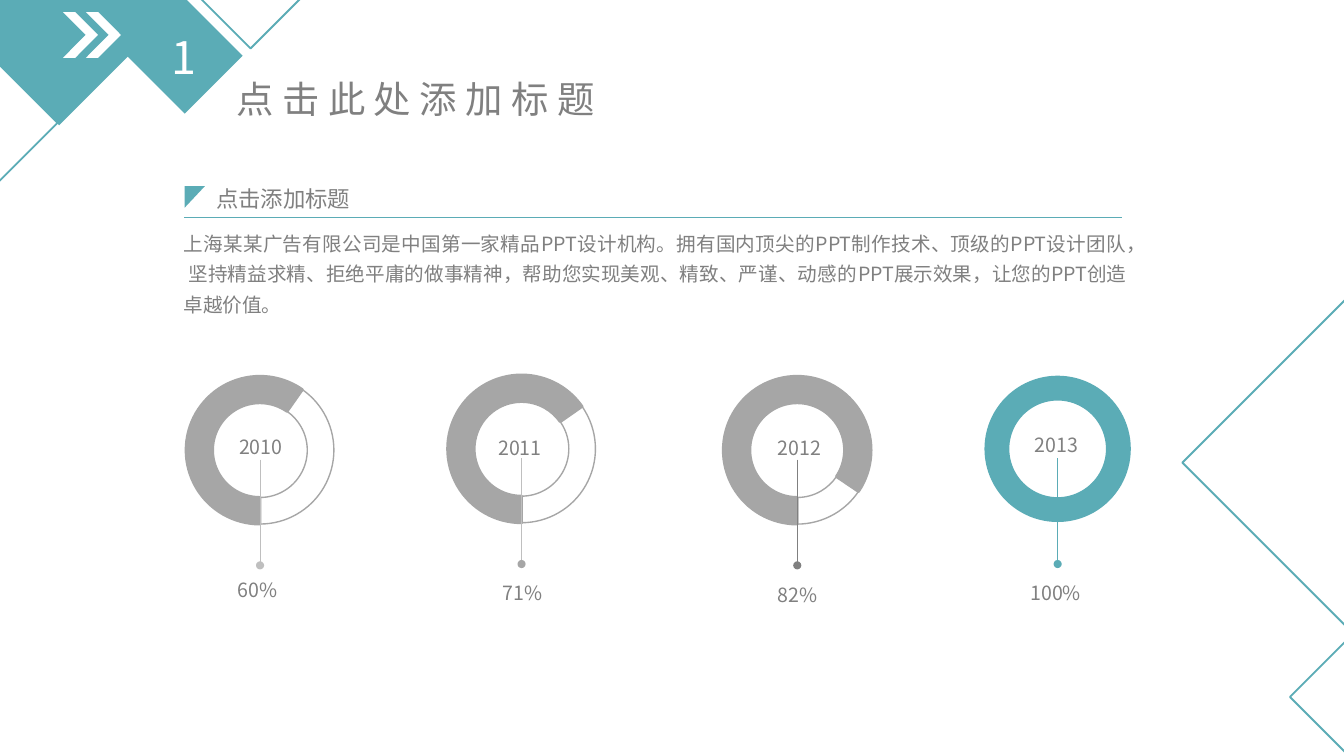
"""Build a title slide section with four yearly progress rings."""
from collections import namedtuple
from dataclasses import dataclass

from lxml.etree import SubElement
from pptx import Presentation
from pptx.dml.color import RGBColor
from pptx.enum.shapes import MSO_CONNECTOR, MSO_SHAPE
from pptx.enum.text import MSO_ANCHOR, MSO_AUTO_SIZE, PP_ALIGN
from pptx.oxml.ns import qn
from pptx.util import Pt


@dataclass(frozen=True)
class Theme:
    font: str = "Noto Sans CJK SC"
    teal: RGBColor = RGBColor(0x5B, 0xAC, 0xB6)
    text: RGBColor = RGBColor(0x80, 0x80, 0x80)
    ring: RGBColor = RGBColor(0xA6, 0xA6, 0xA6)
    pale: RGBColor = RGBColor(0xBF, 0xBF, 0xBF)
    white: RGBColor = RGBColor(0xFF, 0xFF, 0xFF)
    number: float = 24
    title: float = 20
    heading: float = 12
    body: float = 10.5


theme = Theme()
Ring = namedtuple("Ring", "year percent x y radius end stem dot year_box percent_box")

presentation = Presentation()
presentation.slide_width, presentation.slide_height = Pt(720), Pt(405)
slide = presentation.slides.add_slide(presentation.slide_layouts[5])
shapes = slide.shapes


def add_figure(preset, box, fill=None, line=None, width=1, rotation=0, adjust=()):
    figure = shapes.add_shape(preset, *(Pt(value) for value in box))
    figure.shadow.inherit = False
    figure.rotation = rotation
    for index, value in enumerate(adjust):
        figure.adjustments[index] = value
    if fill is None:
        figure.fill.background()
    else:
        figure.fill.solid()
        figure.fill.fore_color.rgb = fill
    if line is None:
        figure.line.fill.background()
    else:
        figure.line.color.rgb = line
        figure.line.width = Pt(width)
    return figure


def write(holder, box, text, size, color=theme.text, spacing=0, leading=16.5):
    holder.left, holder.top, holder.width, holder.height = (Pt(value) for value in box)
    frame = holder.text_frame
    frame.word_wrap = True
    frame.auto_size = MSO_AUTO_SIZE.SHAPE_TO_FIT_TEXT
    frame.vertical_anchor = MSO_ANCHOR.TOP
    paragraph = frame.paragraphs[0]
    paragraph.alignment = PP_ALIGN.JUSTIFY if leading else PP_ALIGN.LEFT
    if leading:
        paragraph.line_spacing = Pt(leading)
    run = paragraph.add_run()
    run.text = text
    run.font.size = Pt(size)
    run.font.color.rgb = color
    run.font.name = theme.font
    properties = run.font._element
    SubElement(properties, qn("a:ea")).set("typeface", theme.font)
    if spacing:
        properties.set("spc", str(int(spacing * 100)))


for box in [(-15.8, -47.5, 95, 95), (77, 7.9, 43.9, 43.9)]:
    add_figure(MSO_SHAPE.RECTANGLE, box, fill=theme.teal, rotation=45)
for box in [
    (-69.1, 24.5, 95, 53.3),
    (733, 272.2, 203.8, 203),
    (662.4, 177.8, 130.3, 136.1),
    (40.3, -159.1, 170.6, 146.2),
]:
    add_figure(MSO_SHAPE.RECTANGLE, box, line=theme.teal, rotation=45)
for left in (46.1, 33.8):
    add_figure(MSO_SHAPE.CHEVRON, (left, 6.5, 18.7, 24.5), fill=theme.white, adjust=[0.65])

write(shapes.add_textbox(0, 0, 0, 0), (85, 12.2, 27.4, 36), "1",
      theme.number, theme.white, spacing=4.5, leading=None)
write(shapes.title, (119.5, 37.4, 217.4, 31.7), "点击此处添加标题",
      theme.title, spacing=4.5, leading=None)

add_figure(MSO_SHAPE.RIGHT_TRIANGLE, (98.6, 100.1, 11.5, 10.8), fill=theme.teal, rotation=90)
write(shapes.add_textbox(0, 0, 0, 0), (108.7, 93.6, 96.5, 24.5), "点击添加标题", theme.heading)
write(
    shapes.add_textbox(0, 0, 0, 0), (91.4, 116.6, 519.1, 59),
    "上海某某广告有限公司是中国第一家精品PPT设计机构。拥有国内顶尖的PPT制作技术、"
    "顶级的PPT设计团队， 坚持精益求精、拒绝平庸的做事精神，帮助您实现美观、精致、"
    "严谨、动感的PPT展示效果，让您的PPT创造卓越价值。",
    theme.body,
)

rings = [
    Ring("2010", "60%", 139.3, 241.2, 39.6, 305, theme.pale, theme.pale,
         (121, 225.4, 40.3, 23), (120.2, 302.4, 45.4, 22.3)),
    Ring("2011", "71%", 279.4, 240.5, 39.6, 325, theme.pale, theme.ring,
         (259.9, 226.1, 46.1, 24.5), (262.1, 303.8, 49.7, 22.3)),
    Ring("2012", "82%", 427.1, 241.2, 39.6, 34, theme.text, theme.text,
         (409.7, 226.1, 40.3, 23), (409.7, 304.6, 46.1, 22.3)),
    Ring("2013", "100%", 566.6, 240.5, 39.2, None, theme.teal, theme.teal,
         (547.2, 224.6, 38.9, 23), (545, 303.8, 52.6, 22.3)),
]
lines = [(98.6, 116.6, 601.2, 116.6, theme.teal)]
lines += [(ring.x, ring.y + 5, ring.x, ring.y + 61.7, ring.stem) for ring in rings]
dot_size = 3.6

for ring, (*ends, color) in zip([None, *rings], lines):
    if ring:
        circle = (ring.x - ring.radius, ring.y - ring.radius, 2 * ring.radius, 2 * ring.radius)
        if ring.end is not None:
            bottom, end = 90 * 0.6, ring.end * 0.6
            add_figure(MSO_SHAPE.BLOCK_ARC, circle, line=theme.ring, width=0.75,
                       adjust=[end, bottom, 0.18])
            add_figure(MSO_SHAPE.BLOCK_ARC, circle, fill=theme.ring, line=theme.ring, width=1.5,
                       adjust=[bottom, end, 0.18])
    rule = shapes.add_connector(MSO_CONNECTOR.STRAIGHT, *(Pt(value) for value in ends))
    rule.line.color.rgb = color
    rule.line.width = Pt(0.25)
    SubElement(rule._element.spPr, qn("a:effectLst"))
    if ring:
        if ring.end is None:
            add_figure(MSO_SHAPE.DONUT, circle, fill=theme.teal, adjust=[0.17])
        dot = (ring.x - dot_size / 2, ends[3] - dot_size / 2, dot_size, dot_size)
        add_figure(MSO_SHAPE.OVAL, dot, fill=ring.dot, line=ring.dot, width=0.75)
        write(shapes.add_textbox(0, 0, 0, 0), ring.year_box, ring.year, theme.body)
        write(shapes.add_textbox(0, 0, 0, 0), ring.percent_box, ring.percent, theme.body)

presentation.save("out.pptx")
